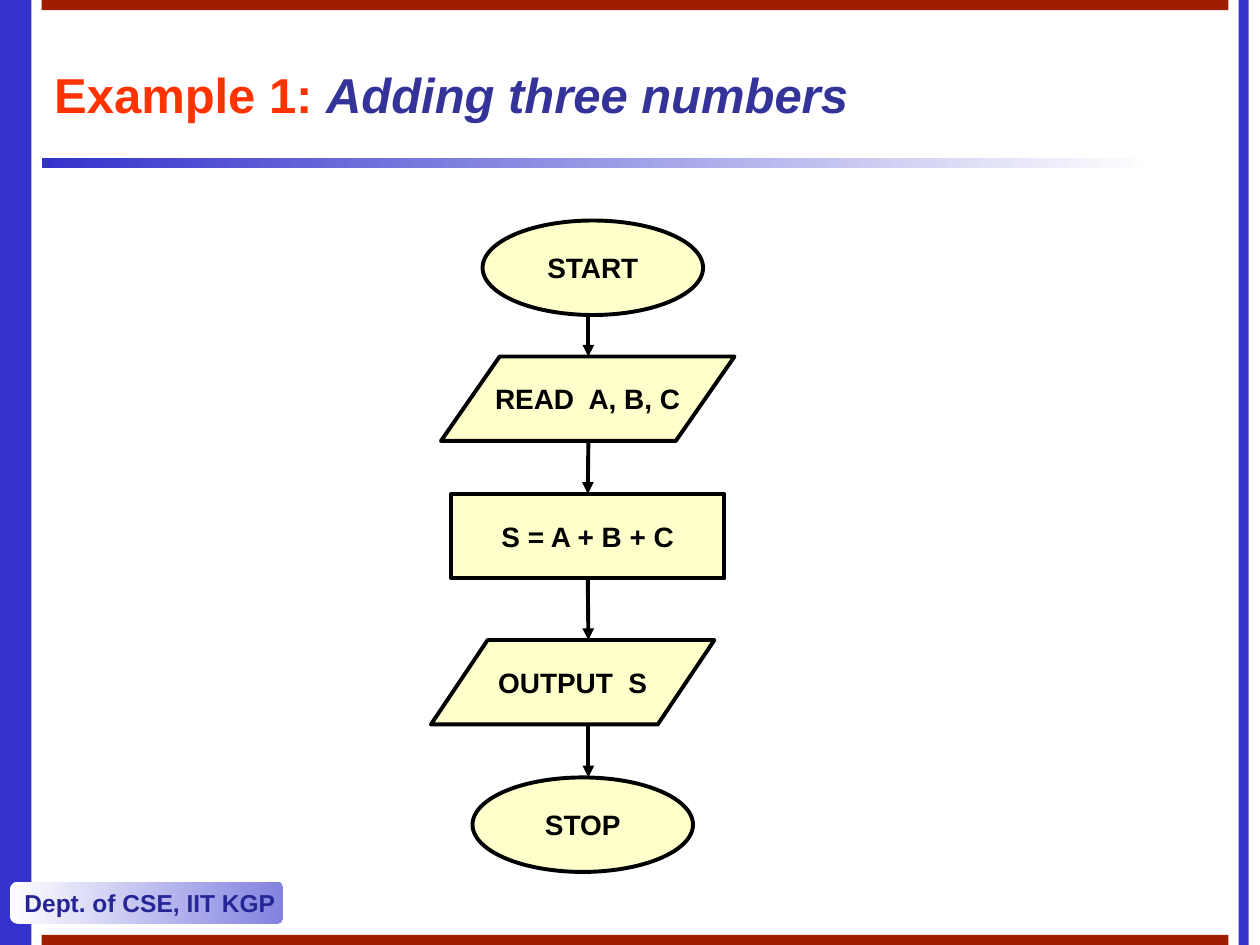
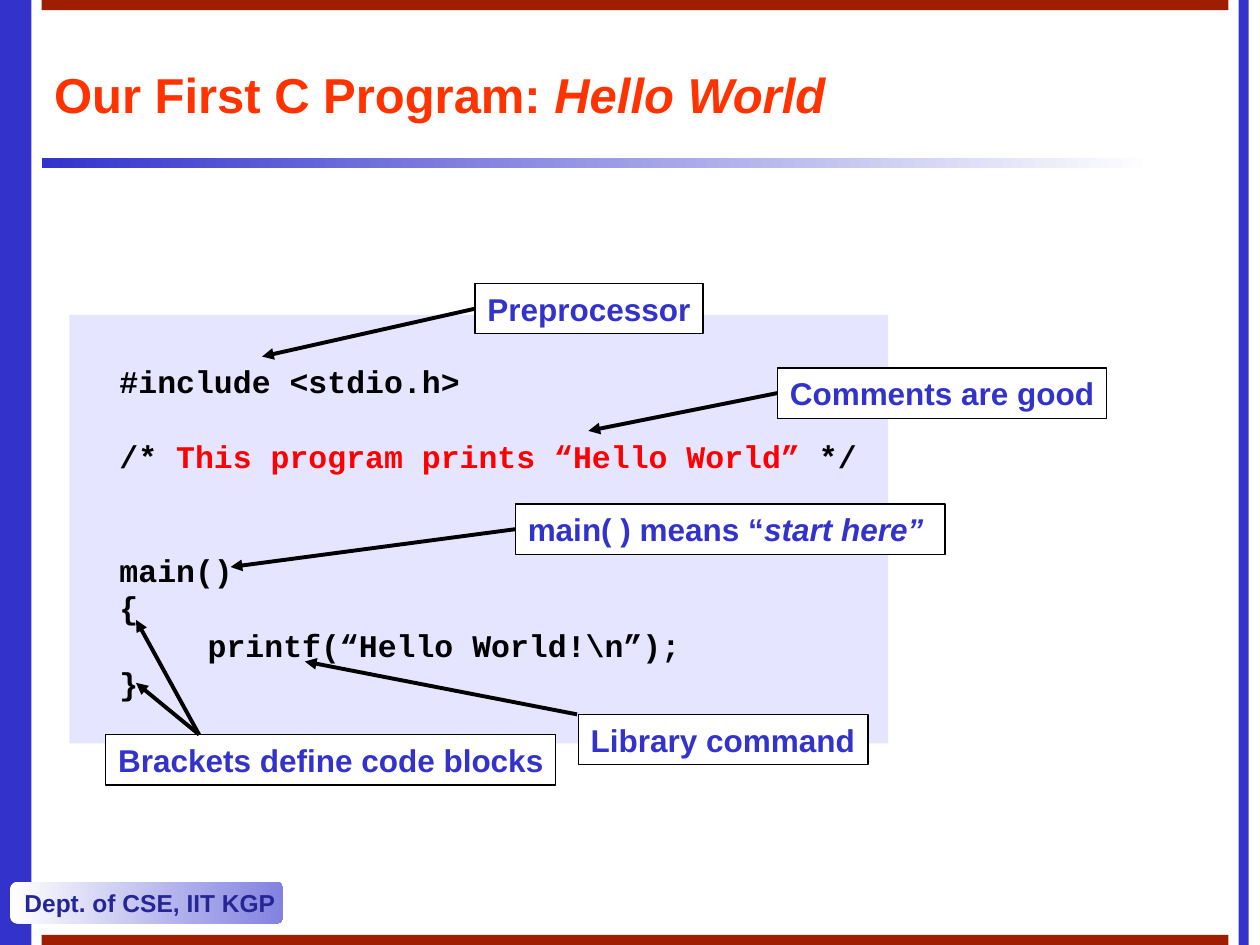
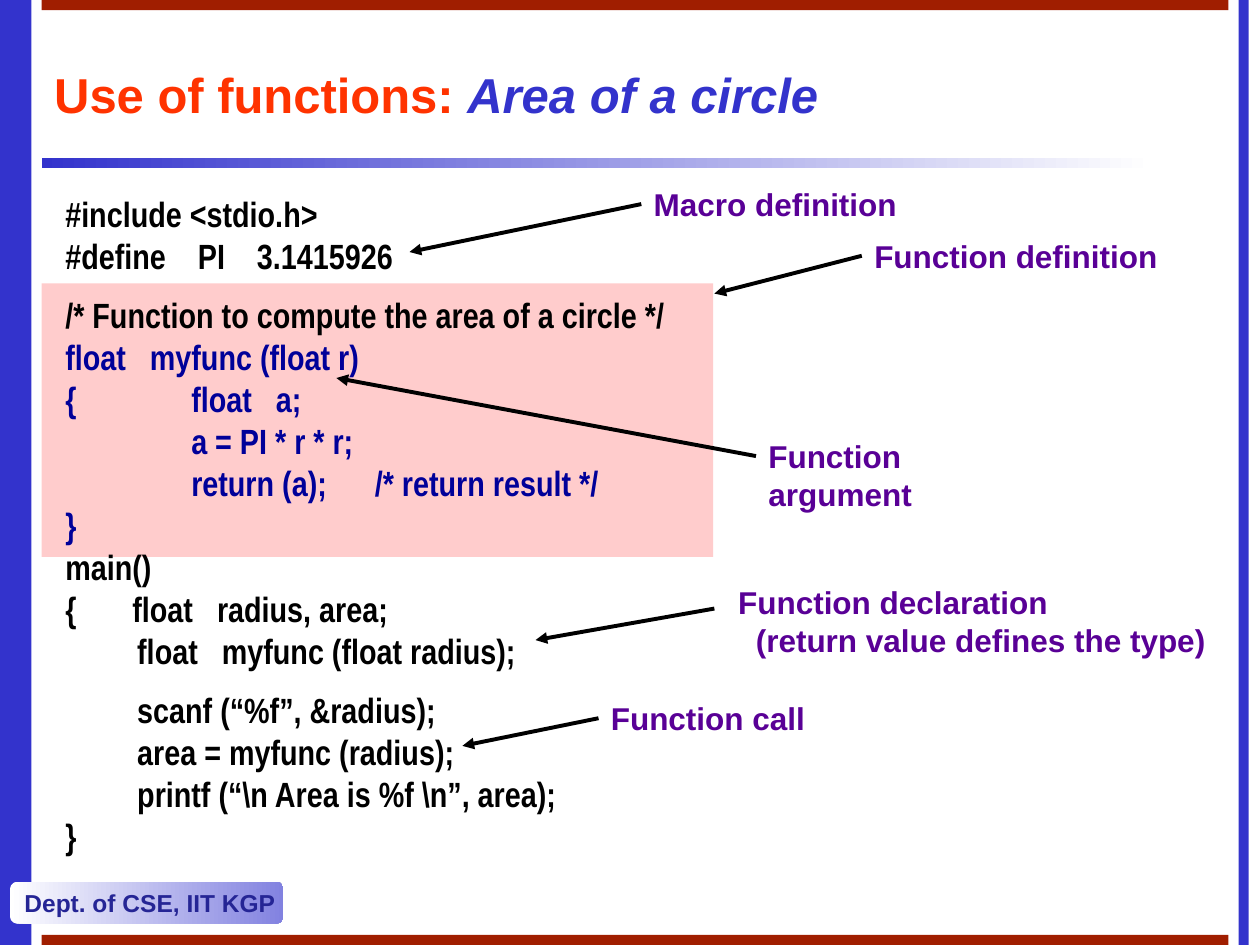
from lxml import etree
from pptx import Presentation
from pptx.dml.color import RGBColor
from pptx.enum.shapes import MSO_CONNECTOR, MSO_SHAPE
from pptx.enum.text import MSO_ANCHOR, PP_ALIGN
from pptx.oxml.ns import qn
from pptx.util import Inches, Pt

RECT, ROUND = MSO_SHAPE.RECTANGLE, MSO_SHAPE.ROUNDED_RECTANGLE
OVAL, DATA = MSO_SHAPE.OVAL, MSO_SHAPE.FLOWCHART_DATA
STRAIGHT = MSO_CONNECTOR.STRAIGHT
LEFT, CENTER = PP_ALIGN.LEFT, PP_ALIGN.CENTER
TOP, MIDDLE = MSO_ANCHOR.TOP, MSO_ANCHOR.MIDDLE
TOP_SIDE, LEFT_SIDE, BOTTOM_SIDE = 0, 1, 2

BLACK, WHITE, BLUE, BRICK = "000000", "FFFFFF", "3333CC", "A01E00"
ORANGE, RED, NAVY, PURPLE = "FF3300", "FF0000", "000099", "590096"
LEADING = 1.2

# Shared frame: (shape, left, top, width, height, fill or gradient pair)
BANDS = [
    (RECT, 0, 0, 0.25, 7.5, BLUE),
    (RECT, 0.33, 1.25, 8.83, 0.08, (BLUE, WHITE)),
    (RECT, 9.83, 0, 0.08, 7.5, BLUE),
    (RECT, 0.33, 0, 9.42, 0.08, BRICK),
    (RECT, 0.33, 7.42, 9.42, 0.08, BRICK),
]
FOOTER = (ROUND, 0.08, 7, 2.17, 0.33, (WHITE, "8282E0"))
FOOTER_TEXT = "Dept. of CSE, IIT KGP"
TITLE_AREA = (0.33, 0.33, 9.42, 0.83)

# A span is (text, colour, italic); the last two may be left out
TITLES = [
    [("Example 1: ",), ("Adding three numbers", "333399", True)],
    [("Our First C Program: ",), ("Hello World", ORANGE, True)],
    [("Use of functions: ",), ("Area of a circle", BLUE, True)],
]

# Flowchart steps: (text, shape, left, top, width, height)
FLOW_AXIS = 4.67
FLOW = [
    ("START", OVAL, 3.83, 1.75, 1.75, 0.75),
    ("READ  A, B, C", DATA, 3.5, 2.83, 2.33, 0.67),
    ("S = A + B + C", RECT, 3.58, 3.92, 2.17, 0.67),
    ("OUTPUT  S", DATA, 3.42, 5.08, 2.25, 0.67),
    ("STOP", OVAL, 3.75, 6.17, 1.75, 0.75),
]

# Code lines: (points before, spans)
HELLO_GAP = 18 * LEADING
HELLO_CODE = [
    (0, [("  #include <stdio.h>",)]),
    (HELLO_GAP, [("  /* ",), ("This program prints “Hello World”", RED), (" */",)]),
    (2 * HELLO_GAP, [("  main()",)]),
    (0, [("  {",)]),
    (0, [("\tprintf(“Hello World!\\n”);",)]),
    (0, [("  }",)]),
]
AREA_GAP = 8 * LEADING
AREA_CODE = [
    (0, [("#include <stdio.h>",)]),
    (0, [("#define    PI    3.1415926",)]),
    (AREA_GAP, [("/* Function to compute the area of a circle */",)]),
    (0, [("float   myfunc (float r)", NAVY)]),
    (0, [("{\tfloat   a;", NAVY)]),
    (0, [("         \ta = PI * r * r;", NAVY)]),
    (0, [("         \treturn (a);      /* return result */", NAVY)]),
    (0, [("}", NAVY)]),
    (0, [("main()",)]),
    (0, [("{       float   radius, area;",)]),
    (0, [("         float   myfunc (float radius);",)]),
    (AREA_GAP, [("         scanf (“%f”, &radius);",)]),
    (0, [("         area = myfunc (radius);",)]),
    (0, [("         printf (“\\n Area is %f \\n”, area);",)]),
    (0, [("}",)]),
]

# Labels: (lines, left, top, width, arrow start or None for the left side, arrow ends)
HELLO_LABELS = [
    ([[("Brackets define code blocks",)]], 0.84, 5.83, 3.57, (1.58, 5.83),
     [(1.08, 4.92), (1.08, 5.42)]),
    ([[("Library command",)]], 4.59, 5.67, 2.3, (4.58, 5.67), [(2.42, 5.25)]),
    ([[("main( ) means “",), ("start here”", BLUE, True)]], 4.09, 4, 3.41, None,
     [(1.83, 4.5)]),
    ([[("Preprocessor",)]], 3.77, 2.25, 1.81, None, [(2.08, 2.83)]),
    ([[("Comments are good",)]], 6.17, 2.92, 2.61, None, [(4.67, 3.42)]),
]
AREA_LABELS = [
    ([[("Macro definition",)]], 5.09, 1.42, 2.13, None, [(3.25, 2)]),
    ([[("Function definition",)]], 6.84, 1.83, 2.45, None, [(5.67, 2.33)]),
    ([[("Function argument",)]], 6, 3.42, 2.46, None, [(2.67, 3)]),
    ([[("Function declaration",)], [("(return value defines the type)",)]],
     5.76, 4.58, 3.91, (5.67, 4.83), [(4.25, 5.08)]),
    ([[("Function call",)]], 4.75, 5.5, 1.74, None, [(3.67, 5.92)]),
]


def rgb(color):
    return RGBColor.from_string(color)


def inches(values):
    return [Inches(value) for value in values]


def add_block(page, kind, left, top, width, height, fill, line=0):
    """Add a preset shape with a flat fill, or a gradient for a colour pair."""
    shape = page.shapes.add_shape(kind, *inches((left, top, width, height)))
    shape.shadow.inherit = False
    if isinstance(fill, tuple):
        shape.fill.gradient()
        shape.fill.gradient_angle = 0
        for stop, color in zip(shape.fill.gradient_stops, fill):
            stop.color.rgb = rgb(color)
    else:
        shape.fill.solid()
        shape.fill.fore_color.rgb = rgb(fill)
    if line:
        shape.line.color.rgb = rgb(BLACK)
        shape.line.width = Pt(line)
    else:
        shape.line.fill.background()
    return shape


def write_spans(para, spans, size, font, color, align=LEFT):
    para.text = spans[0][0]
    for span in spans[1:]:
        para.add_run().text = span[0]
    para.alignment = align
    for run, (_, *look) in zip(para.runs, spans):
        run.font.name, run.font.size, run.font.bold = font, Pt(size), True
        run.font.color.rgb = rgb(look[0] if look else color)
        run.font.italic = True if len(look) > 1 else None


def write_lines(shape, lines, size, font, color, wrap):
    """Write (gap, spans) lines with fixed leading and a tab stop at one inch."""
    frame = shape.text_frame
    frame.word_wrap = wrap
    frame.vertical_anchor = TOP
    for index, (gap, spans) in enumerate(lines):
        para = frame.add_paragraph() if index else frame.paragraphs[0]
        props = para._p.get_or_add_pPr()
        tabs = etree.SubElement(props, qn("a:tabLst"))
        etree.SubElement(tabs, qn("a:tab"), pos=str(Inches(1)), algn="l")
        para.line_spacing = Pt(size * LEADING)
        if gap:
            para.space_before = Pt(gap)
        write_spans(para, spans, size, font, color)


def write_center(shape, text, size, color, align=CENTER):
    frame = shape.text_frame
    frame.word_wrap = False
    frame.vertical_anchor = MIDDLE
    write_spans(frame.paragraphs[0], [(text,)], size, "Arial", color, align)


def add_arrow(page, start, end):
    arrow = page.shapes.add_connector(STRAIGHT, *inches((*start, *end)))
    arrow.line.color.rgb = rgb(BLACK)
    arrow.line.width = Pt(2.25)
    etree.SubElement(arrow.line._get_or_add_ln(), qn("a:tailEnd"), type="triangle")
    etree.SubElement(arrow._element.spPr, qn("a:effectLst"))
    return arrow


def add_labels(page, labels, color, boxed):
    for lines, left, top, width, start, ends in labels:
        height = 0.1 + 0.3 * len(lines)
        if boxed:
            box = add_block(page, RECT, left, top, width, height, WHITE, 0.75)
        else:
            box = page.shapes.add_textbox(*inches((left, top, width, height)))
        write_lines(box, [(0, spans) for spans in lines], 18, "Arial", color, False)
        for para in box.text_frame.paragraphs[1:]:
            para._p.get_or_add_pPr().set("marL", str(Inches(0.14)))
        for end in ends:
            arrow = add_arrow(page, start or (left, top + height / 2), end)
            if start is None:
                arrow.begin_connect(box, LEFT_SIDE)


def dress_layout(layout, page):
    """Build the shared frame on a page, then hand it to the layout."""
    parts = [add_block(page, *band) for band in BANDS]
    footer = add_block(page, *FOOTER)
    write_center(footer, FOOTER_TEXT, 14, "252595", LEFT)
    for part in parts + [footer]:
        layout.shapes.element.append(part.element)
    title = layout.placeholders[0]
    title.left, title.top, title.width, title.height = inches(TITLE_AREA)
    title.text_frame.vertical_anchor = MIDDLE


def draw_flowchart(page):
    steps = []
    for text, kind, *area in FLOW:
        step = add_block(page, kind, *area, "FFFFCC", 2.25)
        write_center(step, text, 16, BLACK)
        steps.append((step, kind, area))
    for (upper, upper_kind, above), (lower, lower_kind, below) in zip(steps, steps[1:]):
        arrow = add_arrow(page, (FLOW_AXIS, above[1] + above[3]), (FLOW_AXIS, below[1]))
        if upper_kind == RECT:
            arrow.begin_connect(upper, BOTTOM_SIDE)
        if lower_kind == RECT:
            arrow.end_connect(lower, TOP_SIDE)


def draw_hello(page):
    panel = add_block(page, RECT, 0.55, 2.5, 6.5, 3.4, "E5E5FF")
    panel.text_frame.margin_top = Inches(0.37)
    write_lines(panel, HELLO_CODE, 18, "Courier New", BLACK, True)
    add_labels(page, HELLO_LABELS, BLUE, True)


def draw_area(page):
    add_block(page, RECT, 0.33, 2.25, 5.33, 2.17, "FFCCCC")
    code = page.shapes.add_textbox(*inches((0.42, 1.48, 5, 5.37)))
    write_lines(code, AREA_CODE, 20, "Arial Narrow", BLACK, True)
    add_labels(page, AREA_LABELS, PURPLE, False)


def main():
    deck = Presentation()
    deck.slide_width, deck.slide_height = Inches(10), Inches(7.5)
    layout = deck.slide_layouts.get_by_name("Title Only")
    for index, (title, draw) in enumerate(zip(TITLES, (draw_flowchart, draw_hello, draw_area))):
        page = deck.slides.add_slide(layout)
        if index == 0:
            dress_layout(layout, page)
        write_spans(page.shapes.title.text_frame.paragraphs[0], title, 28, "Arial", ORANGE)
        draw(page)
    deck.save("out.pptx")


if __name__ == "__main__":
    main()
